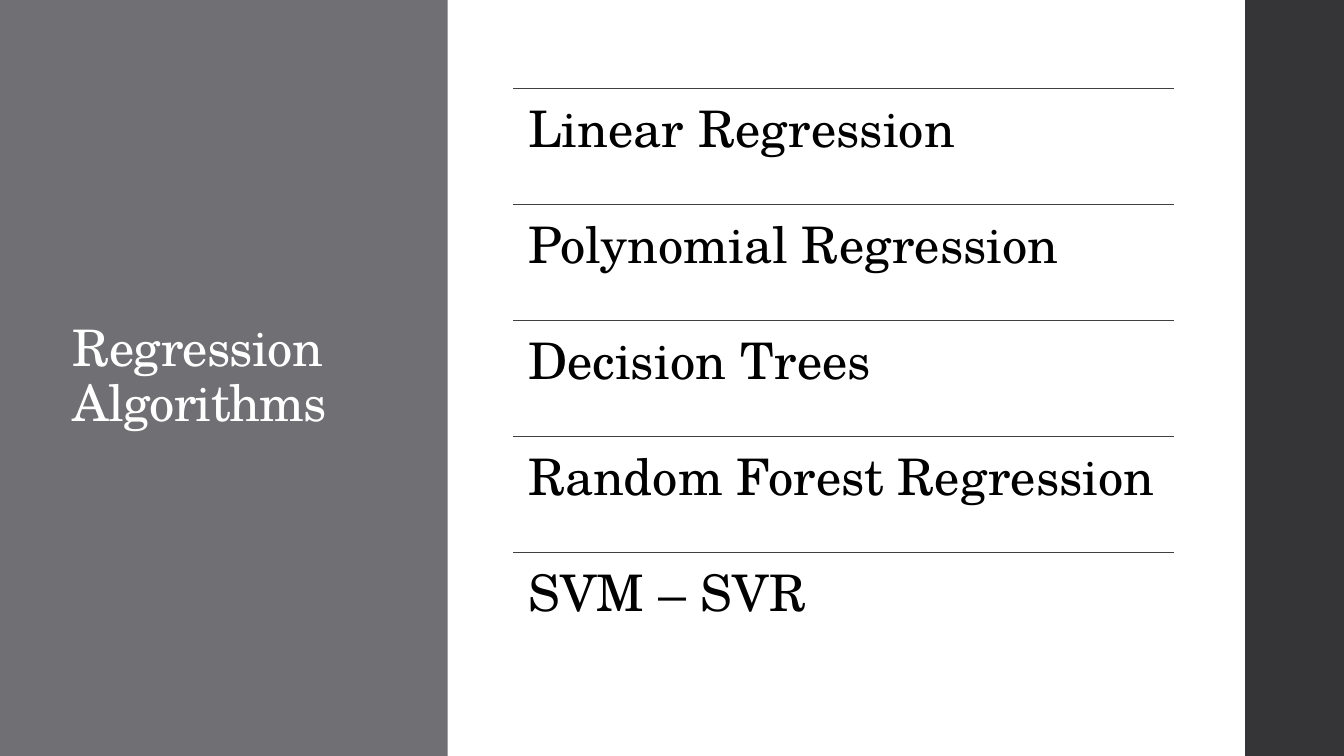
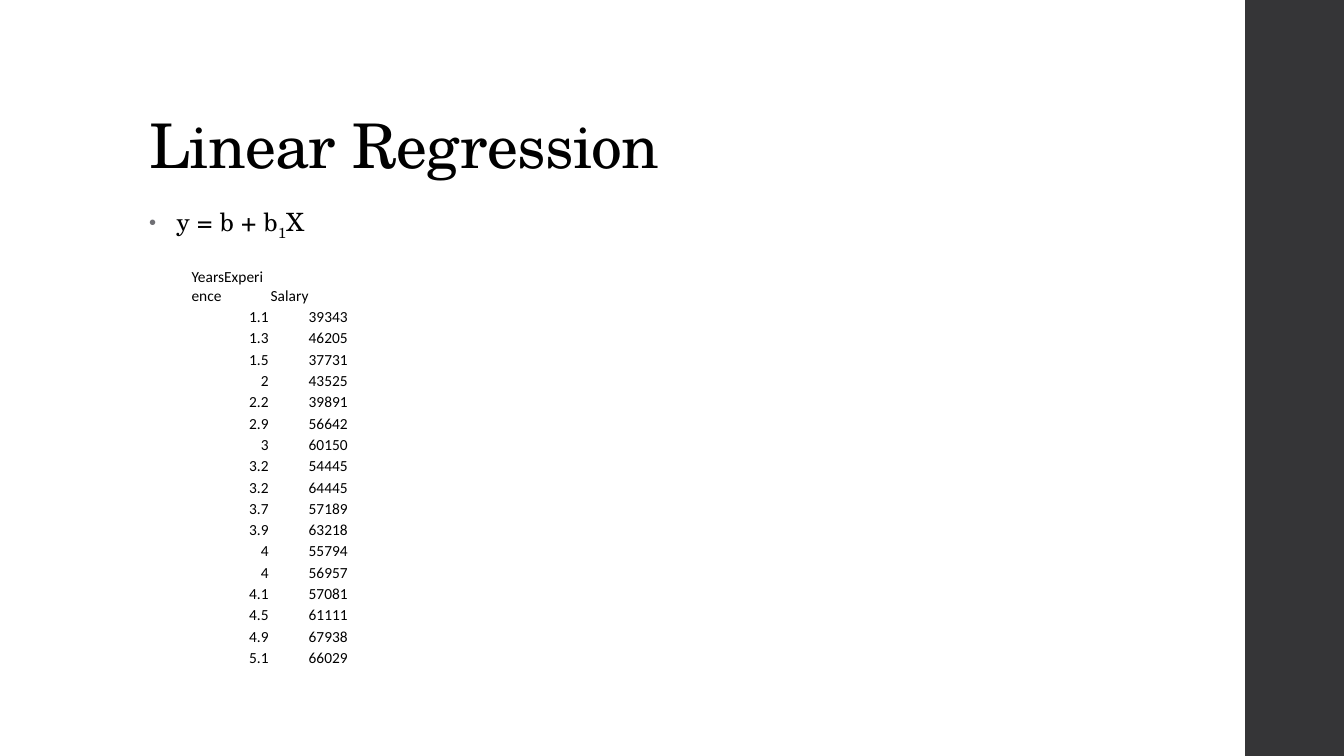
import pptx
import pptx.dml.color
import pptx.enum.shapes
import pptx.enum.text
import pptx.oxml
import pptx.oxml.ns
import pptx.util

RGBColor = pptx.dml.color.RGBColor
Anchor = pptx.enum.text.MSO_ANCHOR
Align = pptx.enum.text.PP_ALIGN

WHITE = RGBColor(0xFF, 0xFF, 0xFF)
BLACK = RGBColor(0x00, 0x00, 0x00)
GRAY = RGBColor(0x6F, 0x6F, 0x74)
CHARCOAL = RGBColor(0x35, 0x35, 0x37)
RULE_COLOR = RGBColor(0x40, 0x40, 0x43)

SERIF = "TeX Gyre Schola"
SANS = "Calibri"

SLIDE_WIDTH, SLIDE_HEIGHT = 1333, 750
BAND_LEFT = 1235
TITLE_ONLY, TITLE_AND_CONTENT = 5, 1

ALGORITHMS = [
    "Linear Regression",
    "Polynomial Regression",
    "Decision Trees",
    "Random Forest Regression",
    "SVM – SVR",
]
SALARIES = [
    ("YearsExperience", "Salary"),
    ("1.1", "39343"),
    ("1.3", "46205"),
    ("1.5", "37731"),
    ("2", "43525"),
    ("2.2", "39891"),
    ("2.9", "56642"),
    ("3", "60150"),
    ("3.2", "54445"),
    ("3.2", "64445"),
    ("3.7", "57189"),
    ("3.9", "63218"),
    ("4", "55794"),
    ("4", "56957"),
    ("4.1", "57081"),
    ("4.5", "61111"),
    ("4.9", "67938"),
    ("5.1", "66029"),
]


def px(length):
    """Turn px, 100 to the inch, into EMU."""
    return pptx.util.Emu(round(length * 9144))


def place(shape, left, top, width, height):
    shape.left, shape.top = px(left), px(top)
    shape.width, shape.height = px(width), px(height)


def set_margins(target, left, top, right, bottom):
    """Set the insets of a text frame or a table cell."""
    target.margin_left, target.margin_top = px(left), px(top)
    target.margin_right, target.margin_bottom = px(right), px(bottom)


def add_run(paragraph, text, size, color=BLACK, font=SERIF, spacing=0, baseline=0):
    """Add a run; spacing is in hundredths of a point, baseline in percent."""
    run = paragraph.add_run()
    run.text = text
    run.font.name = font
    run.font.size = pptx.util.Pt(size)
    run.font.color.rgb = color
    properties = run.font._element
    if spacing:
        properties.set("spc", str(spacing))
    if baseline:
        properties.set("baseline", str(baseline * 1000))


def add_band(slide, left, width, color):
    """Add a full-height band behind everything else."""
    band = slide.shapes.add_shape(
        pptx.enum.shapes.MSO_SHAPE.RECTANGLE, px(left), 0, px(width), px(SLIDE_HEIGHT))
    band.shadow.inherit = False
    band.fill.solid()
    band.fill.fore_color.rgb = color
    band.line.fill.background()
    slide.shapes._spTree.insert(2, band._element)


def add_slide(presentation, layout):
    slide = presentation.slides.add_slide(presentation.slide_layouts[layout])
    add_band(slide, BAND_LEFT, SLIDE_WIDTH - BAND_LEFT, CHARCOAL)
    return slide


def set_title(slide, text, box, size, color, anchor):
    title = slide.shapes.title
    place(title, *box)
    frame = title.text_frame
    frame.auto_size = pptx.enum.text.MSO_AUTO_SIZE.NONE
    frame.vertical_anchor = anchor
    paragraph = frame.paragraphs[0]
    paragraph.alignment = Align.LEFT
    paragraph.line_spacing = 0.9
    add_run(paragraph, text, size, color, spacing=-50)


def add_rule(shapes, left, top, width):
    rule = shapes.add_connector(
        pptx.enum.shapes.MSO_CONNECTOR.STRAIGHT, px(left), px(top), px(left + width), px(top))
    rule.line.color.rgb = RULE_COLOR
    rule.line.width = pptx.util.Pt(1.1)
    properties = rule._element.spPr
    properties.append(pptx.oxml.parse_xml(
        f'<a:effectLst {pptx.oxml.ns.nsdecls("a")}/>'))


def add_ruled_list(slide, items, left, top, width, pitch):
    """Stack the items at an equal pitch, each under a thin rule."""
    group = slide.shapes.add_group_shape()
    for index, item in enumerate(items):
        item_top = top + index * pitch
        add_rule(group.shapes, left, item_top, width)
        box = group.shapes.add_textbox(px(left), px(item_top), px(width), px(pitch))
        frame = box.text_frame
        frame.word_wrap = True
        set_margins(frame, 15, 15, 15, 15)
        paragraph = frame.paragraphs[0]
        paragraph.line_spacing = 0.9
        add_run(paragraph, item, 36)


def set_bullet(paragraph, indent):
    properties = paragraph._element.get_or_add_pPr()
    properties.set("marL", str(px(indent)))
    properties.set("indent", str(px(-indent)))
    namespace = pptx.oxml.ns.nsdecls("a")
    for markup in (
        f'<a:buClr {namespace}><a:srgbClr val="{GRAY}"/></a:buClr>',
        f'<a:buSzPct {namespace} val="80000"/>',
        f'<a:buFont {namespace} typeface="Arial"/>',
        f'<a:buChar {namespace} char="•"/>',
    ):
        properties.append(pptx.oxml.parse_xml(markup))


def set_formula(slide):
    body = slide.placeholders[1]
    place(body, 138, 200, 940, 476)
    frame = body.text_frame
    frame.auto_size = pptx.enum.text.MSO_AUTO_SIZE.NONE
    paragraph = frame.paragraphs[0]
    paragraph.line_spacing = 0.95
    paragraph.space_before = pptx.util.Pt(14)
    paragraph.space_after = pptx.util.Pt(2)
    set_bullet(paragraph, 27)
    for text, baseline in (("y = b + b", 0), ("1", -25), ("X", 0)):
        add_run(paragraph, text, 18, spacing=10, baseline=baseline)


def fill_cell(cell, text, alignment):
    cell.fill.background()
    cell.vertical_anchor = Anchor.BOTTOM
    set_margins(cell, 1, 1, 1, 0)
    paragraph = cell.text_frame.paragraphs[0]
    paragraph.alignment = alignment
    add_run(paragraph, text, 11, font=SANS)


def add_data_table(slide, rows, left, top, width, height, header_height):
    frame = slide.shapes.add_table(
        len(rows), len(rows[0]), px(left), px(top), px(width), px(height))
    table = frame.table
    table.first_row = table.horz_banding = False
    row_height = (height - header_height) / (len(rows) - 1)
    for row_index, values in enumerate(rows):
        is_header = row_index == 0
        table.rows[row_index].height = px(header_height if is_header else row_height)
        alignment = Align.LEFT if is_header else Align.RIGHT
        for column_index, text in enumerate(values):
            fill_cell(table.cell(row_index, column_index), text, alignment)


def build_algorithms_slide(presentation):
    slide = add_slide(presentation, TITLE_ONLY)
    add_band(slide, 0, 444, GRAY)
    set_title(slide, "Regression Algorithms", (62, 91, 297, 567), 36, WHITE, Anchor.MIDDLE)
    add_ruled_list(slide, ALGORITHMS, 509, 88, 655, 115)


def build_linear_slide(presentation):
    slide = add_slide(presentation, TITLE_AND_CONTENT)
    set_title(slide, "Linear Regression", (138, 40, 1060, 145), 44, BLACK, Anchor.BOTTOM)
    set_formula(slide)
    add_data_table(slide, SALARIES, 189, 264, 157, 399, 39)


def main():
    presentation = pptx.Presentation()
    presentation.slide_width = px(SLIDE_WIDTH)
    presentation.slide_height = px(SLIDE_HEIGHT)
    build_algorithms_slide(presentation)
    build_linear_slide(presentation)
    presentation.save("out.pptx")


if __name__ == "__main__":
    main()
